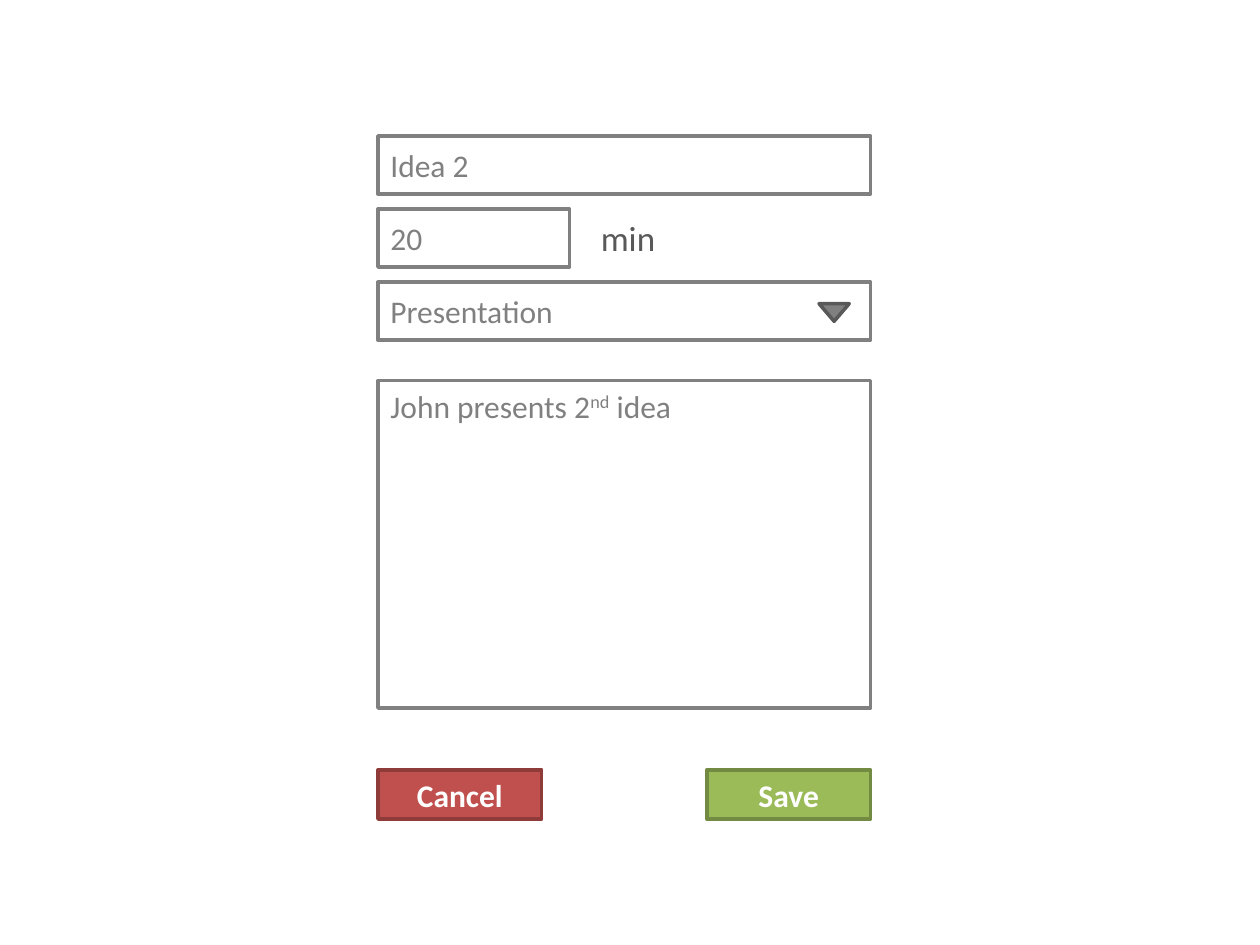
import pptx
import pptx.dml.color
import pptx.enum.shapes
import pptx.enum.text
import pptx.util

Inches = pptx.util.Inches
RGBColor = pptx.dml.color.RGBColor
Shapes = pptx.enum.shapes.MSO_SHAPE
Anchor = pptx.enum.text.MSO_ANCHOR
Align = pptx.enum.text.PP_ALIGN

WHITE = RGBColor(0xFF, 0xFF, 0xFF)
GRAY = RGBColor(0x80, 0x80, 0x80)
DARK_GRAY = RGBColor(0x59, 0x59, 0x59)
GREEN = RGBColor(0x9B, 0xBB, 0x59)
DARK_GREEN = RGBColor(0x73, 0x8A, 0x42)
RED = RGBColor(0xC0, 0x50, 0x4D)
DARK_RED = RGBColor(0x8E, 0x3B, 0x39)

FORM_LEFT = 3
FORM_WIDTH = 3.91
FIELD_TOP = 1.08
FIELD_PITCH = 0.58
FIELD_HEIGHT = 0.46
BUTTON_TOP = 6.11
BUTTON_WIDTH = 1.3


class Form:
    font_name = "Calibri"
    line_width = pptx.util.Pt(2)

    def __init__(self, slide):
        self.slide = slide

    def add_text(self, shape, runs, color, size=18, bold=False, align=Align.LEFT, anchor=Anchor.MIDDLE):
        frame = shape.text_frame
        frame.word_wrap = True
        frame.vertical_anchor = anchor
        paragraph = frame.paragraphs[0]
        paragraph.alignment = align
        values = {"name": self.font_name, "size": pptx.util.Pt(size), "bold": bold}
        for text, baseline in runs:
            run = paragraph.add_run()
            run.text = text
            for name, value in values.items():
                setattr(run.font, name, value)
            run.font.color.rgb = color
            if baseline:
                run._r.get_or_add_rPr().set("baseline", str(baseline * 1000))

    def outline(self, kind, box, fill, line):
        shape = self.slide.shapes.add_shape(kind, *map(Inches, box))
        shape.shadow.inherit = False
        shape.fill.solid()
        shape.fill.fore_color.rgb = fill
        shape.line.color.rgb = line
        shape.line.width = self.line_width
        return shape

    def field(self, runs, top, width=FORM_WIDTH, height=FIELD_HEIGHT, anchor=Anchor.MIDDLE):
        shape = self.outline(Shapes.RECTANGLE, (FORM_LEFT, top, width, height), WHITE, GRAY)
        self.add_text(shape, runs, GRAY, anchor=anchor)

    def label(self, text, box):
        shape = self.slide.shapes.add_textbox(*map(Inches, box))
        self.add_text(shape, [(text, 0)], DARK_GRAY, size=20, anchor=Anchor.TOP)

    def arrow(self, box):
        shape = self.outline(Shapes.ISOSCELES_TRIANGLE, box, GRAY, DARK_GRAY)
        shape.rotation = 180

    def button(self, text, left, fill, line):
        shape = self.outline(Shapes.RECTANGLE, (left, BUTTON_TOP, BUTTON_WIDTH, 0.39), fill, line)
        self.add_text(shape, [(text, 0)], WHITE, bold=True, align=Align.CENTER)


presentation = pptx.Presentation()
presentation.slide_width = Inches(10)
presentation.slide_height = Inches(7.5)
form = Form(presentation.slides.add_slide(presentation.slide_layouts[6]))

fields = [("Idea 2", FORM_WIDTH), ("20", 1.52), ("Presentation", FORM_WIDTH)]
for row, (text, width) in enumerate(fields):
    form.field([(text, 0)], FIELD_TOP + row * FIELD_PITCH, width)
form.label("min", (4.67, 1.67, 1.56, 0.44))
form.arrow((6.5, 2.41, 0.24, 0.14))
form.field(
    [("John presents 2", 0), ("nd", 30), (" idea", 0)],
    3.02, height=2.6, anchor=Anchor.TOP,
)
form.button("Save", FORM_LEFT + FORM_WIDTH - BUTTON_WIDTH, GREEN, DARK_GREEN)
form.button("Cancel", FORM_LEFT, RED, DARK_RED)

presentation.save("out.pptx")
